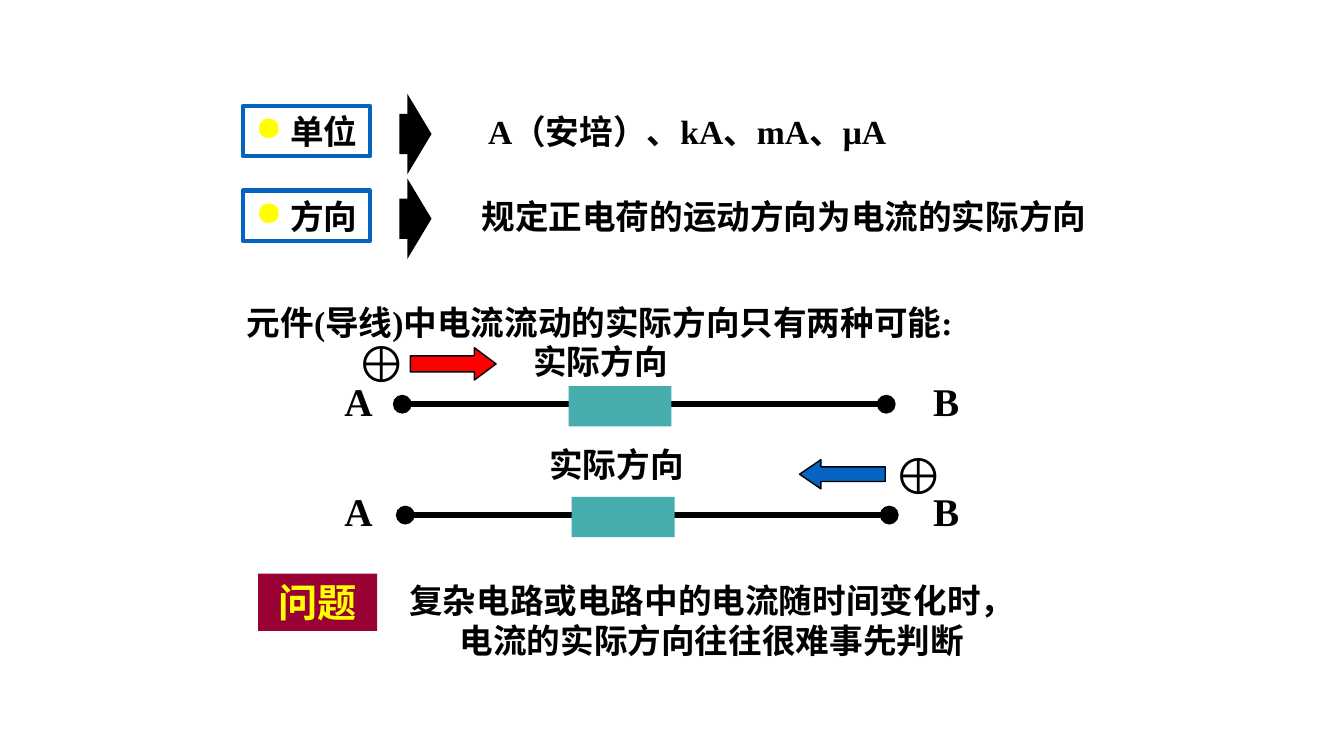
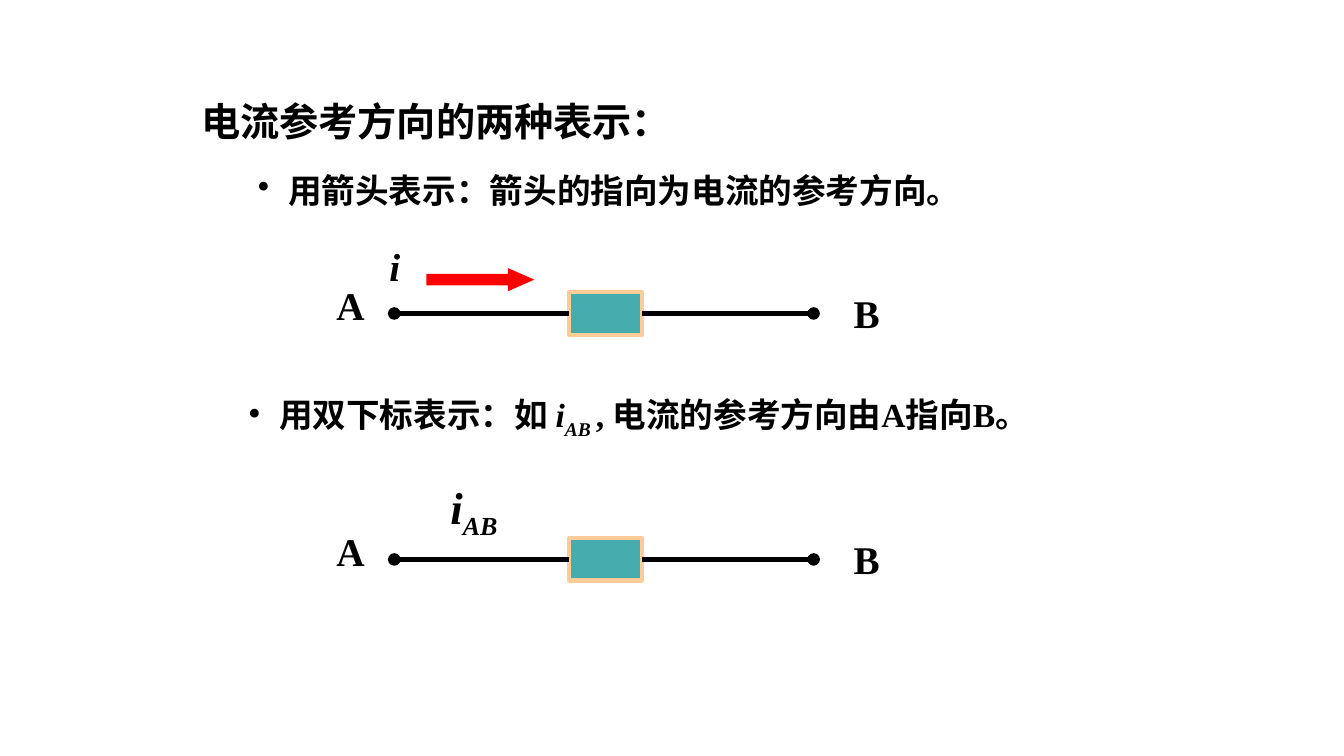
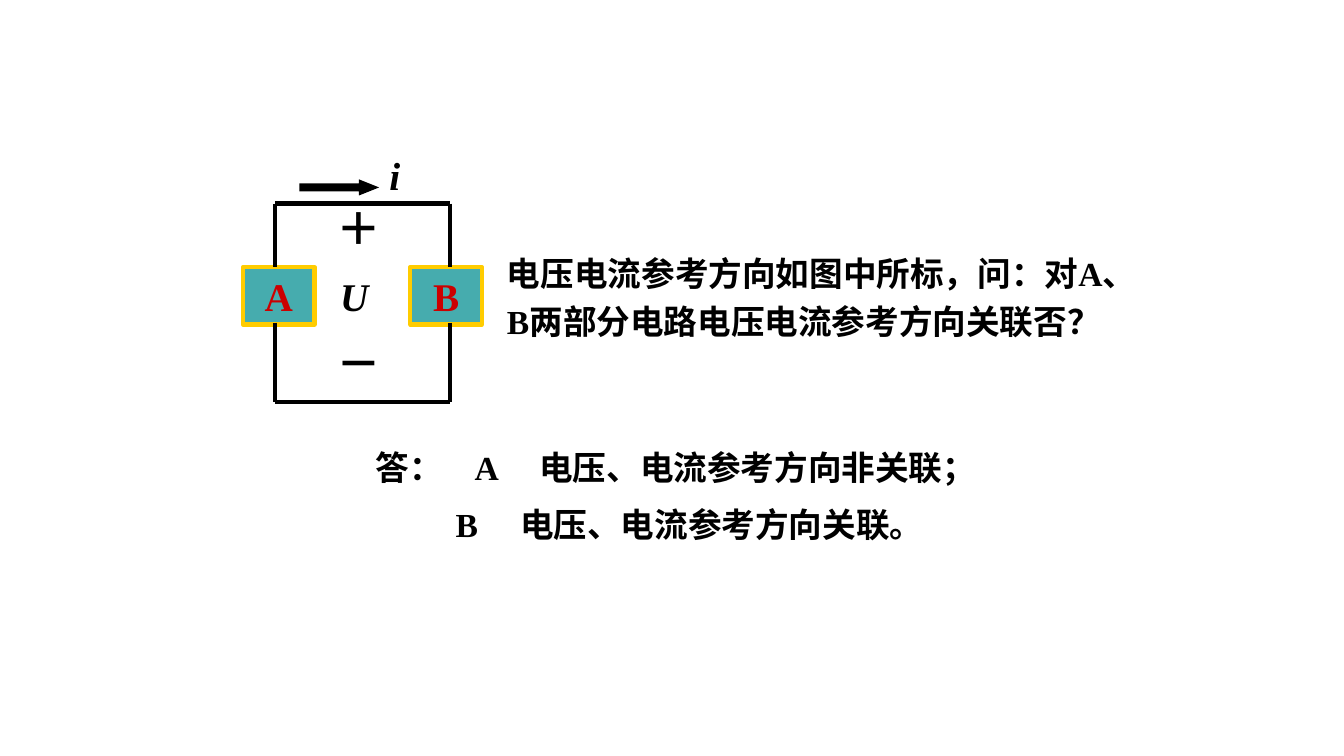
from pptx import Presentation
from pptx.dml.color import RGBColor
from pptx.enum.shapes import MSO_CONNECTOR as Connector, MSO_SHAPE as Shape
from pptx.enum.text import MSO_ANCHOR as Anchor, MSO_AUTO_SIZE as AutoSize, PP_ALIGN as Align
from pptx.oxml.ns import qn
from pptx.util import Emu, Pt
from lxml.etree import SubElement

PX = 9144
FONT = "Times New Roman"
BLACK, WHITE, YELLOW = "000000", "FFFFFF", "FFFF00"
BLUE, RED, TEAL = "0563C1", "FF0000", "46ACAE"
MAROON, PEACH, GOLD, CRIMSON = "990033", "FFCC99", "FFCC00", "CC0000"


def px(length):
    """Turn px into EMU, at 100 px to the inch."""
    return Emu(length * PX)


def rgb(code):
    """Turn a hex string into a colour."""
    return RGBColor.from_string(code)


def write(shape, *paragraphs, size=24, color=BLACK, italic=False, align=Align.CENTER,
          anchor=Anchor.TOP, wrap=True, spacing=None, before=0, bullet=None, hang=0, tabs=()):
    """Fill a shape with paragraphs, each a string or a list of (text, format) spans."""
    frame = shape.text_frame
    frame.word_wrap = wrap
    frame.vertical_anchor = anchor
    frame.auto_size = AutoSize.SHAPE_TO_FIT_TEXT
    for index, content in enumerate(paragraphs):
        para = frame.paragraphs[0] if index == 0 else frame.add_paragraph()
        para.alignment = align
        if spacing:
            para.line_spacing = spacing
        if index:
            para.space_before = Pt(before)
        properties = para._p.get_or_add_pPr()
        if bullet:
            if hang:
                properties.set("marL", str(px(hang)))
                properties.set("indent", str(px(-hang)))
            SubElement(properties, qn("a:buChar")).set("char", bullet)
        if tabs:
            stops = SubElement(properties, qn("a:tabLst"))
            for stop in tabs[index]:
                tab = SubElement(stops, qn("a:tab"))
                tab.set("pos", str(px(stop)))
                tab.set("algn", "l")
        spans = [(content, {})] if isinstance(content, str) else content
        for text, style in spans:
            span = para.add_run()
            span.text = text
            font = span.font
            font.name, font.size, font.bold = FONT, Pt(size), True
            font.italic = style.get("italic", italic)
            font.color.rgb = rgb(style.get("color", color))
            if style.get("sub"):
                font._element.set("baseline", "-25000")


def add_text(page, box, *paragraphs, **style):
    """Place a text box at (left, top, width, height)."""
    write(page.shapes.add_textbox(*map(px, box)), *paragraphs, **style)


def add_block(page, box, kind=Shape.RECTANGLE, fill=None, line=None, weight=3, adjust=()):
    """Place a preset shape without shadow."""
    shape = page.shapes.add_shape(kind, *map(px, box))
    shape.shadow.inherit = False
    if fill:
        shape.fill.solid()
        shape.fill.fore_color.rgb = rgb(fill)
    else:
        shape.fill.background()
    if line:
        shape.line.color.rgb = rgb(line)
        shape.line.width = Pt(weight)
    else:
        shape.line.fill.background()
    for index, value in enumerate(adjust):
        shape.adjustments[index] = value
    return shape


def add_wire(page, start, end, weight=3, dots=()):
    """Draw a black wire, with dots at the named ends."""
    wire = page.shapes.add_connector(Connector.STRAIGHT, *map(px, start + end))
    wire.line.color.rgb = rgb(BLACK)
    wire.line.width = Pt(weight)
    for name in dots:
        SubElement(wire.line._get_or_add_ln(), qn("a:" + name)).set("type", "oval")
    SubElement(wire._element.spPr, qn("a:effectLst"))
    return wire


def fact_row(page, top, label, fact, fact_left, fact_width):
    """Place a framed label, a black arrow and the fact it leads to."""
    frame = add_block(page, (241, top, 126, 50), line=BLUE)
    write(frame, [(" ", {"color": YELLOW}), (label, {})], bullet="●")
    add_block(page, (396, top - 12, 32, 80), Shape.RIGHT_ARROW, BLACK, adjust=(0.5, 0.75))
    add_text(page, (fact_left, top, fact_width, 50), fact)


def actual_circuit(page, left, top):
    """Place a wire from A to B with an element on it."""
    add_wire(page, (left, top), (left + 480, top), 4.5, ("headEnd", "tailEnd"))
    add_block(page, (left + 165, top - 18, 102, 40), fill=TEAL)
    for name, label_left in (("A", 320), ("B", 903)):
        add_text(page, (label_left, top - 32, 71, 57), name, size=28)


def reference_circuit(page, left, top):
    """Place an element wired to terminals A and B."""
    element = add_block(page, (left + 252, top + 16, 73, 42), fill=TEAL, line=PEACH)
    for side, near, far in ((1, 252, 79), (3, 325, 495)):
        wire = add_wire(page, (left + near, top + 37), (left + far, top + 37), dots=("tailEnd",))
        wire.begin_connect(element, side)
    add_text(page, (left, top, 71, 57), "A", size=28)
    add_text(page, (left + 512, top + 8, 71, 57), "B", size=28)


def loop_circuit(page, left, top):
    """Place the closed loop of parts A and B with its marks."""
    for name, part_left in (("A", left), ("B", left + 166)):
        part = add_block(page, (part_left, top + 63, 71, 57), fill=TEAL, line=GOLD)
        write(part, name, size=28, color=CRIMSON)
    near, far = left + 32, left + 205
    for x in (near, far):
        for start, end in ((0, 63), (118, 197)):
            add_wire(page, (x, top + start), (x, top + end))
    for y in (top, top + 197):
        add_wire(page, (near, y), (far, y))
    add_block(page, (left + 56, top - 24, 79, 16), Shape.RIGHT_ARROW, BLACK, adjust=(0.5, 1.25))
    add_text(page, (left + 119, top - 57, 63, 57), "i", size=28, italic=True)
    add_text(page, (left + 79, top + 63, 63, 57), "U", size=28, italic=True)
    for sign, offset in (("＋", -8), ("－", 126)):
        add_text(page, (left + 79, top + offset, 71, 63), sign, size=32)


def actual_direction_page(page):
    """Build the page on the unit and actual direction of current."""
    fact_row(page, 105, "单位", "A（安培）、kA、mA、μA", 469, 425)
    fact_row(page, 189, "方向", "规定正电荷的运动方向为电流的实际方向", 443, 669)
    add_text(page, (235, 275, 739, 71), "元件(导线)中电流流动的实际方向只有两种可能:",
             align=Align.LEFT, spacing=1.5)
    actual_circuit(page, 399, 401)
    actual_circuit(page, 402, 511)
    add_block(page, (407, 345, 85, 32), Shape.RIGHT_ARROW, RED, BLACK, 1, (0.5, 0.67))
    add_block(page, (793, 456, 85, 29), Shape.LEFT_ARROW, BLUE, BLACK, 1, (0.5, 0.73))
    for box in ((509, 338, 173, 40), (509, 440, 205, 40)):
        add_text(page, box, "实际方向", anchor=Anchor.MIDDLE)
    for left, top in ((344, 328), (876, 440)):
        add_text(page, (left, top, 62, 62), "⊕", size=36, anchor=Anchor.MIDDLE)
    write(add_block(page, (256, 569, 118, 57), fill=MAROON), "问题", size=28, color=YELLOW)
    add_text(page, (391, 570, 630, 91), "复杂电路或电路中的电流随时间变化时，电流的实际方向往往很难事先判断")


def reference_direction_page(page):
    """Build the page on the two notations for reference direction."""
    item = {"align": Align.LEFT, "anchor": Anchor.MIDDLE, "bullet": "•", "hang": 30}
    slanted, lowered = {"italic": True}, {"italic": True, "sub": True}
    add_text(page, (188, 91, 489, 57), "电流参考方向的两种表示：", size=28,
             anchor=Anchor.MIDDLE, wrap=False)
    add_text(page, (246, 164, 714, 50), "用箭头表示：箭头的指向为电流的参考方向。", **item)
    add_text(page, (237, 389, 816, 50),
             [("用双下标表示：如 ", {}), ("i", slanted), ("AB ", lowered),
              (", 电流的参考方向由A指向B。", {})], **item)
    for top in (274, 518):
        reference_circuit(page, 312, top)
    add_text(page, (360, 235, 63, 57), "i", size=28, italic=True, anchor=Anchor.MIDDLE)
    add_block(page, (423, 266, 107, 23), Shape.RIGHT_ARROW, RED, adjust=(0.5, 1.14))
    add_text(page, (415, 475, 110, 63), [("i", slanted), ("AB", lowered)], size=32,
             anchor=Anchor.MIDDLE)


def question_page(page):
    """Build the page with the question and its answer."""
    loop_circuit(page, 241, 202)
    add_text(page, (493, 238, 649, 107),
             "电压电流参考方向如图中所标，问：对A、B两部分电路电压电流参考方向关联否？",
             align=Align.LEFT, spacing=1.2)
    add_text(page, (363, 438, 606, 111), "答：\tA\t电压、电流参考方向非关联；",
             "\tB\t电压、电流参考方向关联。", align=Align.LEFT, before=12,
             tabs=((98, 162), (79, 143)))


def main():
    """Build and save the deck."""
    deck = Presentation()
    deck.slide_width, deck.slide_height = px(1333), px(750)
    for build in (actual_direction_page, reference_direction_page, question_page):
        page = deck.slides.add_slide(deck.slide_layouts[6])
        page.background.fill.solid()
        page.background.fill.fore_color.rgb = rgb(WHITE)
        build(page)
    deck.save("out.pptx")


if __name__ == "__main__":
    main()
